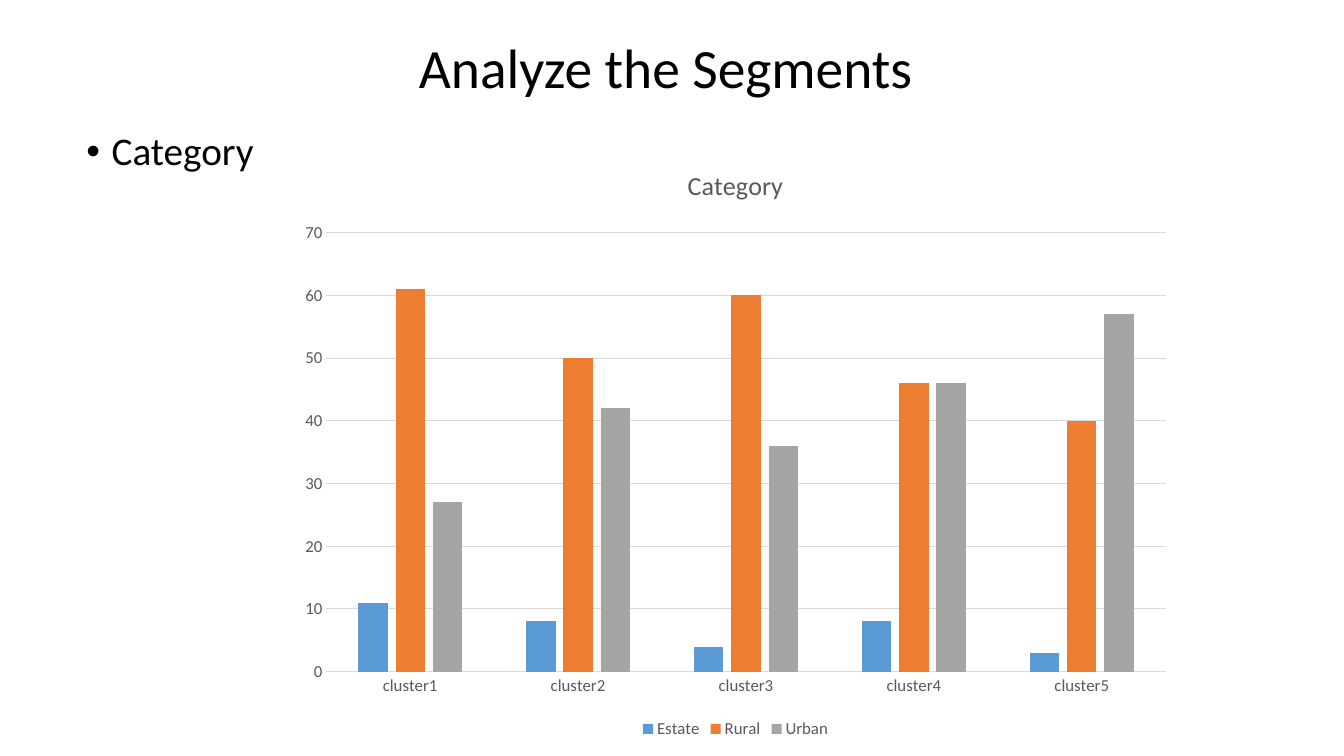
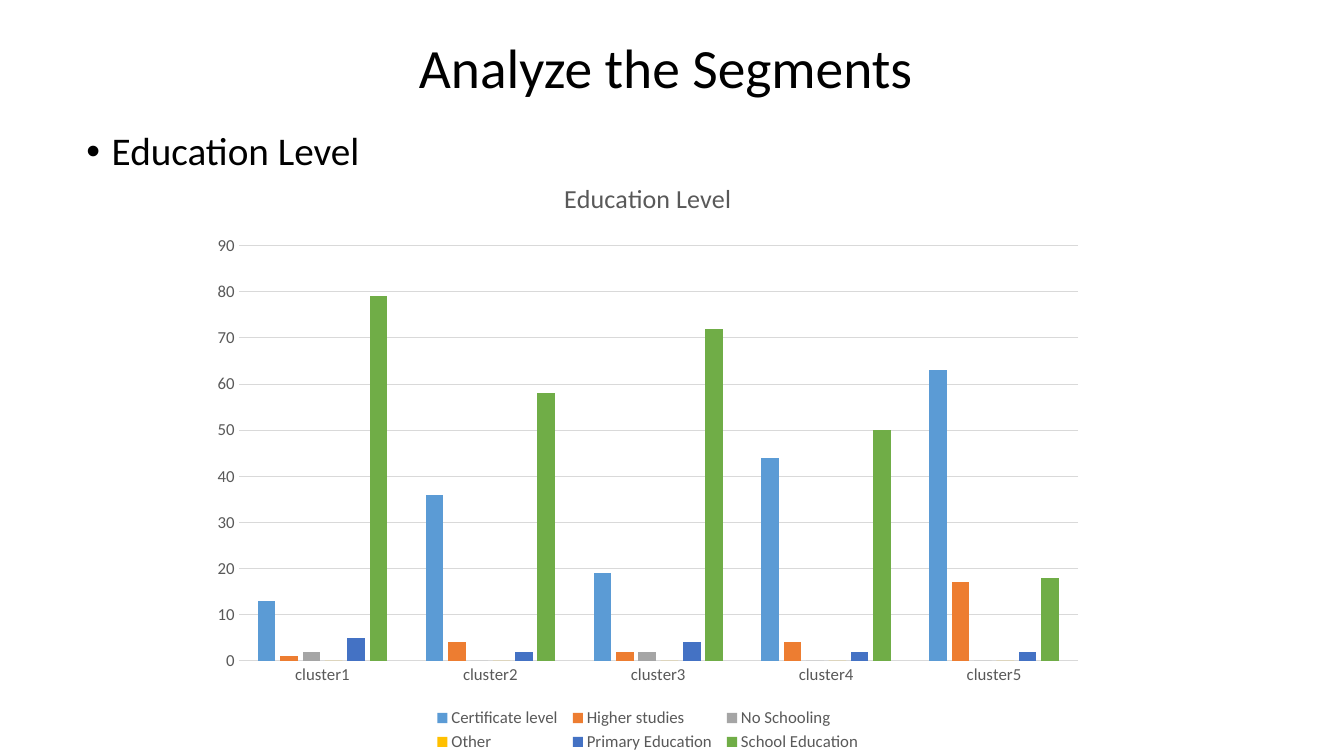
from lxml.etree import SubElement
from pptx import Presentation
from pptx.chart.data import CategoryChartData
from pptx.dml.color import RGBColor
from pptx.enum.chart import XL_CHART_TYPE as CT, XL_LEGEND_POSITION as LP, XL_TICK_MARK as TM
from pptx.enum.text import MSO_ANCHOR as MA, MSO_AUTO_SIZE as AS, PP_ALIGN as PA
from pptx.oxml.ns import qn
from pptx.util import Inches, Pt

FONT = "Calibri"
BLACK = RGBColor(0x00, 0x00, 0x00)
GRAY = RGBColor(0x59, 0x59, 0x59)
GRID = RGBColor(0xD9, 0xD9, 0xD9)
SERIES_COLORS = [
    RGBColor(0x5B, 0x9B, 0xD5), RGBColor(0xED, 0x7D, 0x31), RGBColor(0xA5, 0xA5, 0xA5),
    RGBColor(0xFF, 0xC0, 0x00), RGBColor(0x44, 0x72, 0xC4), RGBColor(0x70, 0xAD, 0x47),
]

TITLE = "Analyze the Segments "
CLUSTERS = [f"cluster{n}" for n in range(1, 6)]
CHART_SIZE = (8.89, 5.93)
SLIDES = [
    {
        "topic": "Category",
        "chart_at": (2.85, 1.44),
        "series": [
            ("Estate", (11, 8, 4, 8, 3)),
            ("Rural", (61, 50, 60, 46, 40)),
            ("Urban", (27, 42, 36, 46, 57)),
        ],
    },
    {
        "topic": "Education Level",
        "chart_at": (1.98, 1.57),
        "series": [
            ("Certificate level ", (13, 36, 19, 44, 63)),
            ("Higher studies ", (1, 4, 2, 4, 17)),
            ("No Schooling", (2, 0, 2, 0, 0)),
            ("Other ", (0, 0, 0, 0, 0)),
            ("Primary Education ", (5, 2, 4, 2, 2)),
            ("School Education", (79, 58, 72, 50, 18)),
        ],
    },
]


def set_font(font, size, color):
    font.name = FONT
    font.size = Pt(size)
    font.color.rgb = color
    font.bold = False


def set_line(line, color):
    line.color.rgb = color
    line.width = Pt(0.75)


def write(sp, text, size):
    tf = sp.text_frame
    tf.word_wrap = True
    tf.auto_size = AS.NONE
    p = tf.paragraphs[0]
    p.text = text
    p.line_spacing = 0.9
    set_font(p.runs[0].font, size, BLACK)
    return p


def add_title(s):
    sp = s.shapes.title
    sp.left, sp.top, sp.width, sp.height = map(Inches, (0.92, 0.4, 11.49, 0.6))
    p = write(sp, TITLE, 39.6)
    p.alignment = PA.CENTER
    sp.text_frame.vertical_anchor = MA.MIDDLE


def add_topic(s, topic):
    sp = s.shapes.add_textbox(*map(Inches, (0.76, 1.26, 12.44, 6.1)))
    p = write(sp, topic, 28)
    pPr = p._p.get_or_add_pPr()
    pPr.set("marL", str(Inches(0.25)))
    pPr.set("indent", str(-Inches(0.25)))
    SubElement(pPr, qn("a:buFont")).set("typeface", "Arial")
    SubElement(pPr, qn("a:buChar")).set("char", "•")


def add_column_chart(s, title, at, series):
    data = CategoryChartData()
    data.categories = CLUSTERS
    for name, values in series:
        data.add_series(name, values)
    chart = s.shapes.add_chart(CT.COLUMN_CLUSTERED, *map(Inches, at + CHART_SIZE), data).chart
    set_font(chart.font, 12, GRAY)

    chart.has_title = True
    chart.chart_title.include_in_layout = False
    p = chart.chart_title.text_frame.paragraphs[0]
    p.text = title
    set_font(p.runs[0].font, 18.6, GRAY)

    chart.has_legend = True
    chart.legend.position = LP.BOTTOM
    chart.legend.include_in_layout = False
    set_font(chart.legend.font, 12, GRAY)

    for axis in (chart.category_axis, chart.value_axis):
        axis.major_tick_mark = axis.minor_tick_mark = TM.NONE
        set_font(axis.tick_labels.font, 12, GRAY)
    set_line(chart.category_axis.format.line, GRID)
    chart.value_axis.format.line.fill.background()
    set_line(chart.value_axis.major_gridlines.format.line, GRID)

    plot = chart.plots[0]
    plot.gap_width = 219
    plot.overlap = -27
    plot.vary_by_categories = False
    for ser, color in zip(plot.series, SERIES_COLORS):
        ser.format.fill.solid()
        ser.format.fill.fore_color.rgb = color


def main():
    prs = Presentation()
    prs.slide_width, prs.slide_height = Inches(13.33), Inches(7.5)
    for content in SLIDES:
        s = prs.slides.add_slide(prs.slide_layouts[5])
        add_title(s)
        add_topic(s, content["topic"])
        add_column_chart(s, content["topic"], content["chart_at"], content["series"])
    prs.save("out.pptx")


if __name__ == "__main__":
    main()
